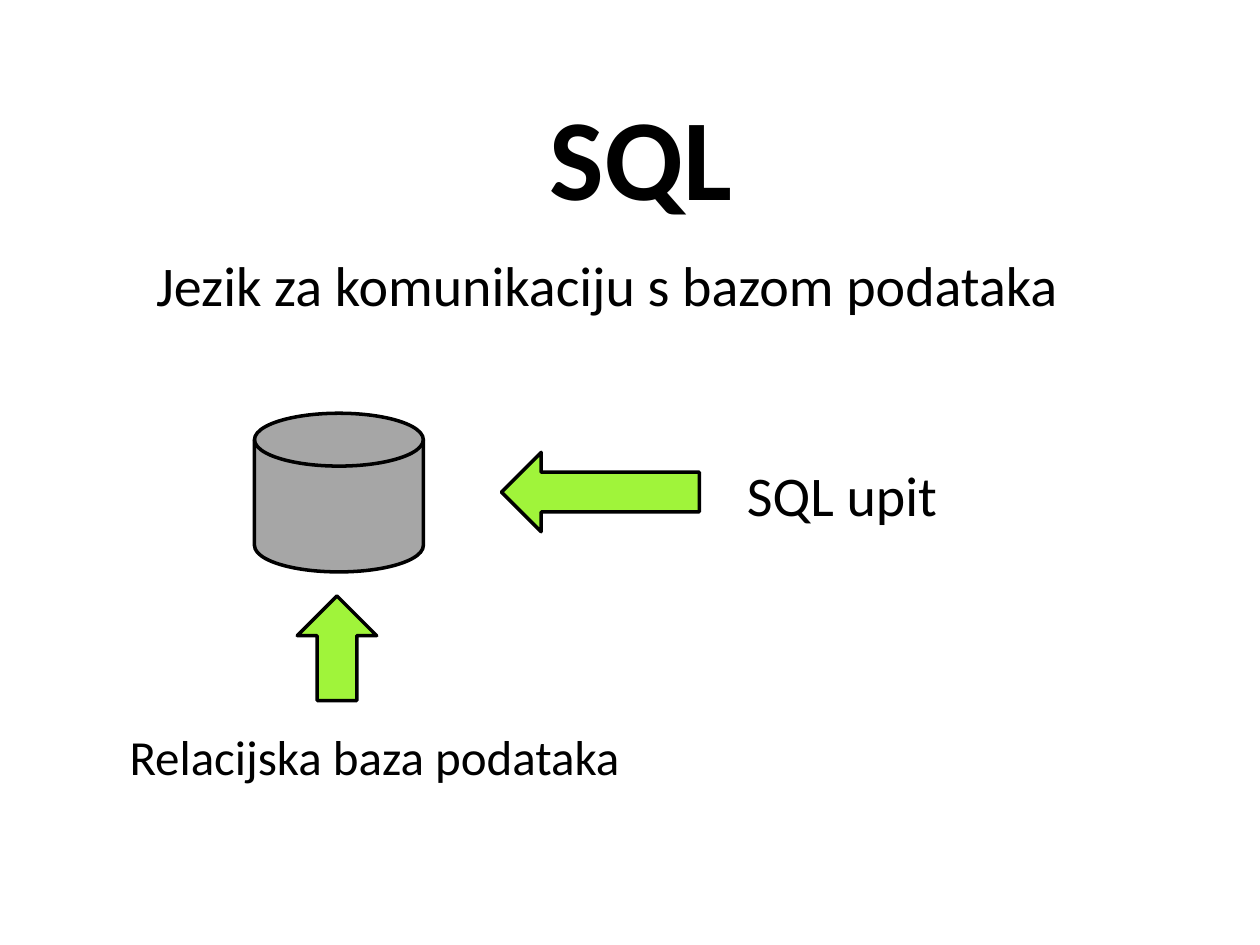
from dataclasses import dataclass

from pptx import Presentation
from pptx import util as u
from pptx.dml.color import RGBColor
from pptx.enum import shapes, text


@dataclass(frozen=True)
class Theme:
    font: str = "Calibri"
    ink: str = "000000"
    database: str = "A6A6A6"
    arrow: str = "A0F43A"
    title_size: int = 66
    body_size: int = 32
    caption_size: int = 28
    outline: int = 2


def write_text(frame, content, *, theme, size, bold=False,
               align=text.PP_ALIGN.LEFT, anchor=text.MSO_ANCHOR.TOP, wrap=True):
    """Put one formatted paragraph into a text frame."""
    frame.word_wrap = wrap
    frame.vertical_anchor = anchor
    paragraph = frame.paragraphs[0]
    paragraph.alignment = align
    run = paragraph.add_run()
    run.text = content
    run.font.name = theme.font
    run.font.size = u.Pt(size)
    run.font.bold = bold
    run.font.color.rgb = RGBColor.from_string(theme.ink)


class SlideBuilder:
    def __init__(self, slide, theme):
        self.slide = slide
        self.theme = theme

    def label(self, content, box, **text_format):
        area = self.slide.shapes.add_textbox(*map(u.Inches, box))
        write_text(area.text_frame, content, theme=self.theme, **text_format)

    def block(self, kind, box, fill, rotation=0):
        block = self.slide.shapes.add_shape(kind, *map(u.Inches, box))
        block.rotation = rotation
        block.shadow.inherit = False
        block.fill.solid()
        block.fill.fore_color.rgb = RGBColor.from_string(fill)
        block.line.color.rgb = RGBColor.from_string(self.theme.ink)
        block.line.width = u.Pt(self.theme.outline)

    def arrow(self, box, rotation):
        self.block(shapes.MSO_SHAPE.RIGHT_ARROW, box, self.theme.arrow, rotation)


def main():
    deck = Presentation()
    deck.slide_width, deck.slide_height = u.Inches(10), u.Inches(7.5)
    theme = Theme()
    builder = SlideBuilder(deck.slides.add_slide(deck.slide_layouts[6]), theme)

    # Title and definition
    builder.label("SQL", (0.59, 0.6, 9, 1.25), size=theme.title_size, bold=True,
                  align=text.PP_ALIGN.CENTER, anchor=text.MSO_ANCHOR.MIDDLE)
    builder.label("Jezik za komunikaciju s bazom podataka",
                  (1.14, 1.94, 9, 1.13), size=theme.body_size)

    # Database
    builder.block(shapes.MSO_SHAPE.FLOWCHART_MAGNETIC_DISK,
                  (2.02, 3.28, 1.34, 1.26), theme.database)

    # Query pointing left at the database
    builder.arrow((3.98, 3.59, 1.57, 0.63), rotation=180)
    builder.label("SQL upit", (5.83, 3.61, 2.14, 0.93), size=theme.body_size)

    # Caption pointing up at the database
    builder.label("Relacijska baza podataka", (0.93, 5.72, 4.13, 0.57),
                  size=theme.caption_size, wrap=False)
    builder.arrow((2.26, 4.83, 0.83, 0.63), rotation=270)

    deck.save("out.pptx")


if __name__ == "__main__":
    main()
